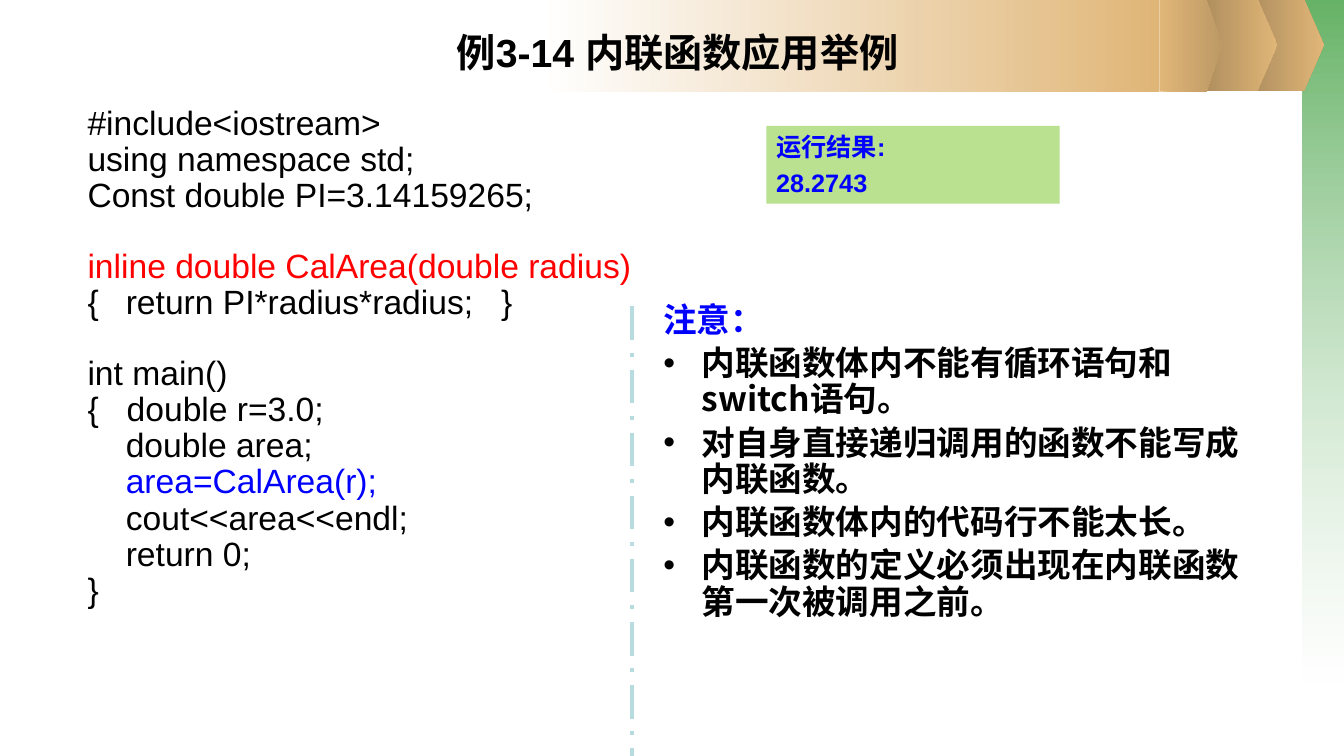
from lxml import etree
from pptx import Presentation
from pptx import util as u
from pptx.dml.color import RGBColor
from pptx.enum import dml, shapes, text
from pptx.oxml.ns import qn

COLORS = {
    "black": "000000", "white": "FFFFFF", "red": "FF0000", "blue": "0000FF",
    "green": "339933", "lime": "BAE18F", "teal": "B6DCDF",
    "gold": "E0B678", "bronze": "AB8B5C", "ochre": "BD9965",
}
LATIN, HAN = "Arial", "Noto Sans CJK SC"
INDENT = u.Inches(0.38)


def rgb(name):
    return RGBColor.from_string(COLORS[name])


class LessonSlide:
    def __init__(self, deck):
        self.page = deck.slides.add_slide(deck.slide_layouts[6])
        self.page.background.fill.solid()
        self.page.background.fill.fore_color.rgb = rgb("white")

    def shape(self, kind, at, fill):
        box = self.page.shapes.add_shape(kind, *map(u.Inches, at))
        box.shadow.inherit = False
        box.line.fill.background()
        if fill:
            box.fill.solid()
            box.fill.fore_color.rgb = rgb(fill)
        return box

    def gradient(self, kind, at, colors, angle=0, opacity=None):
        box = self.shape(kind, at, None)
        box.fill.gradient()
        box.fill.gradient_angle = angle
        stop_colors = box._element.spPr.iter(qn("a:gs"))
        for i, (stop, node) in enumerate(zip(box.fill.gradient_stops, stop_colors)):
            stop.color.rgb = rgb(colors[i])
            stop.position = i
            if opacity:
                etree.SubElement(node[0], qn("a:alpha"), val=str(opacity[i] * 1000))
        if kind == shapes.MSO_SHAPE.PENTAGON:
            box.adjustments[0] = 0.25

    def text_box(self, at):
        box = self.page.shapes.add_textbox(*map(u.Inches, at))
        box.text_frame.word_wrap = True
        return box

    def set_text(self, box, lines, size, font=LATIN, bold=False, align=text.PP_ALIGN.LEFT,
                 line=1.0, before=0, hanging=False):
        """Each line is (text, colour, bullet, extra space before in points)."""
        frame = box.text_frame
        frame.text = "\n".join(entry[0] for entry in lines)
        for i, (para, entry) in enumerate(zip(frame.paragraphs, lines)):
            _, color, bullet, extra = entry
            para.alignment = align
            para.line_spacing = line
            para.space_before = u.Pt(before + extra if i else 0)
            props = para._p.get_or_add_pPr()
            if hanging:
                props.set("marL", str(INDENT))
                props.set("indent", str(-INDENT))
            if bullet:
                etree.SubElement(props, qn("a:buFont"), typeface=LATIN)
                etree.SubElement(props, qn("a:buChar"), char="•")
            for span in para.runs:
                span.font.size = u.Pt(size)
                span.font.name = font
                span.font.bold = bold
                span.font.color.rgb = rgb(color)
                etree.SubElement(span._r.get_or_add_rPr(), qn("a:ea"), typeface=HAN)

    def divider(self, x, top, bottom, color):
        rule = self.page.shapes.add_connector(
            shapes.MSO_CONNECTOR.STRAIGHT, *map(u.Inches, (x, top, x, bottom)))
        rule.line.color.rgb = rgb(color)
        rule.line.width = u.Pt(3)
        rule.line.dash_style = dml.MSO_LINE.LONG_DASH_DOT
        etree.SubElement(rule._element.spPr, qn("a:effectLst"))


def main():
    deck = Presentation()
    deck.slide_width, deck.slide_height = u.Inches(13.33), u.Inches(7.5)
    slide = LessonSlide(deck)

    # Side band and header arrows
    rect, arrow = shapes.MSO_SHAPE.RECTANGLE, shapes.MSO_SHAPE.PENTAGON
    slide.gradient(rect, (12.92, 0, 0.41, 6.77), ("green", "white"), 270, (75, 37))
    for left in (12.34, 11.88):
        slide.gradient(arrow, (left, -0.01, 0.79, 0.91), ("bronze", "gold"))
    slide.gradient(rect, (5.36, 0, 6.14, 0.91), ("white", "gold"))
    slide.gradient(arrow, (11.5, 0, 0.62, 0.91), ("gold", "ochre"))

    # Title
    title = slide.text_box((2.76, 0.23, 7.92, 1))
    slide.set_text(title, [("例3-14 内联函数应用举例", "black", False, 0)], 28,
                   bold=True, align=text.PP_ALIGN.CENTER)

    # Program listing, with an empty line's height before each function
    gap = 25
    code = [
        ("#include<iostream>", "black", 0),
        ("using namespace std;", "black", 0),
        ("Const double PI=3.14159265;", "black", 0),
        ("inline double CalArea(double radius)", "red", gap),
        ("{\treturn PI*radius*radius;   }", "black", 0),
        ("int main()", "black", gap),
        ("{   double r=3.0;", "black", 0),
        ("\tdouble area;", "black", 0),
        ("\tarea=CalArea(r);", "blue", 0),
        ("\tcout<<area<<endl;", "black", 0),
        ("\treturn 0;", "black", 0),
        ("}", "black", 0),
    ]
    listing = slide.text_box((0.77, 1.07, 6.4, 5.08))
    slide.set_text(listing, [(words, color, False, extra) for words, color, extra in code],
                   24, line=0.7, before=5.6, hanging=True)

    # Program output
    result = slide.shape(rect, (7.6, 1.25, 2.91, 0.77), "lime")
    slide.set_text(result, [(words, "blue", False, 0) for words in ("运行结果:", "28.2743")],
                   18, bold=True, before=4)

    # Notes
    rules = (
        "内联函数体内不能有循环语句和switch语句。",
        "对自身直接递归调用的函数不能写成内联函数。",
        "内联函数体内的代码行不能太长。",
        "内联函数的定义必须出现在内联函数第一次被调用之前。",
    )
    notes = slide.text_box((6.48, 2.96, 6.18, 4.14))
    slide.set_text(notes, [("注意：", "blue", False, 0)] + [(r, "black", True, 0) for r in rules],
                   24, font=HAN, bold=True, line=0.9, before=5, hanging=True)

    # Divider
    slide.divider(6.27, 3.04, 7.5, "teal")

    deck.save("out.pptx")


if __name__ == "__main__":
    main()
